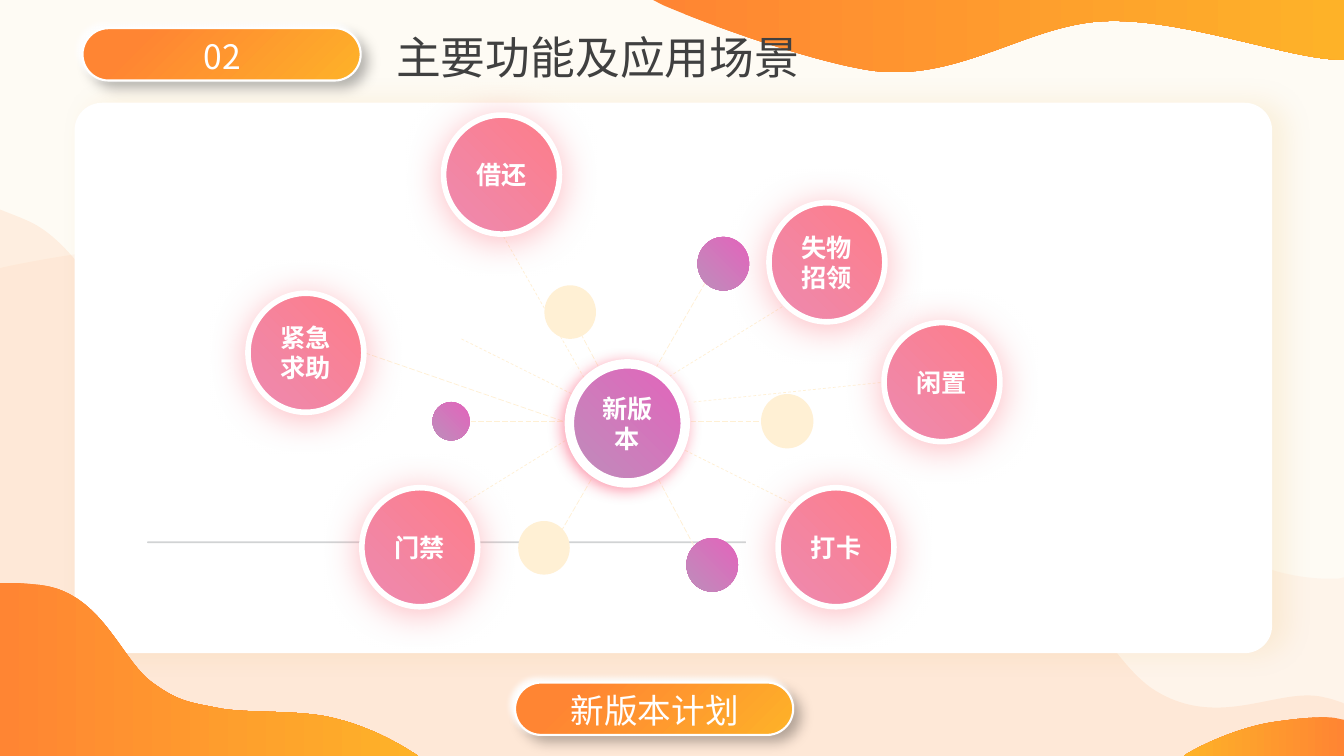
from lxml import etree
from pptx import Presentation
from pptx.dml.color import RGBColor
from pptx.enum.dml import MSO_LINE
from pptx.enum.shapes import MSO_CONNECTOR, MSO_SHAPE
from pptx.enum.text import MSO_ANCHOR, MSO_AUTO_SIZE, PP_ALIGN
from pptx.oxml.ns import qn
from pptx.util import Cm, Pt

WIDTH, HEIGHT = 33.87, 19.05
ORANGE, AMBER, WHITE, CREAM = "FF8533", "FEB228", "FFFFFF", "FFF0D4"
PINKS = ("FE7D89", "ED8AB0")
PURPLES = ("E364BB", "BE8DBB")
CJK = "Noto Sans CJK SC"

BACK_WAVE = [
    (5.03, 6.17), (6.1, 6.2, 7.11, 6.32, 7.92, 6.6),
    (11.25, 7.77, 13.64, 14.45, 16.26, 14.94), (18.85, 15.39, 20.96, 9.5, 23.6, 9.42),
    (26.26, 9.32, 29.92, 13.72, 32.18, 14.4), (32.74, 14.55, 33.25, 14.6, 33.73, 14.58),
    (WIDTH, 14.55), (WIDTH, HEIGHT), (0, HEIGHT), (0, 6.76), (0.1, 6.73),
    (1.68, 6.4, 3.43, 6.15, 5.03, 6.17),
]
FRONT_WAVE = [
    (0, 5.28), (0.33, 5.41), (0.46, 5.46, 0.58, 5.51, 0.69, 5.56),
    (2.46, 6.32, 3.63, 9.91, 5.13, 10.95), (6.63, 12.01, 7.98, 10.95, 9.68, 11.86),
    (11.4, 12.78, 13.16, 16.51, 15.44, 16.46), (17.75, 16.38, 21.21, 11.33, 23.5, 11.48),
    (25.78, 11.63, 27.46, 16.38, 29.11, 17.4), (30.76, 18.42, 32.26, 17.27, 33.4, 17.58),
    (33.53, 17.6, 33.65, 17.65, 33.81, 17.7), (WIDTH, 17.73), (WIDTH, HEIGHT), (0, HEIGHT),
]
TOP_RIBBON = [
    (16.46, 0), (WIDTH, 0), (WIDTH, 1.5), (32.74, 1.57, 29.92, 0.48, 27.94, 0.53),
    (25.96, 0.56, 24.21, 2.08, 21.97, 1.78), (20.73, 1.6, 18.44, 0.86, 16.71, 0.13),
]
RIGHT_CORNER = [
    (33.32, 18.08), (33.48, 18.08, 33.6, 18.08, 33.73, 18.11), (WIDTH, 18.14),
    (WIDTH, HEIGHT), (29.85, HEIGHT), (29.87, 19.02),
    (30.51, 18.64, 31.42, 18.29, 32.13, 18.19), (32.49, 18.14, 32.92, 18.08, 33.32, 18.08),
]
LEFT_CORNER = [
    (0, 14.68), (0.23, 14.68), (0.71, 14.71, 1.12, 14.73, 1.42, 14.83),
    (2.67, 15.24, 3.12, 16.69, 3.84, 17.2), (4.52, 17.7, 4.8, 17.7, 5.59, 17.86),
    (6.35, 17.98, 7.62, 17.88, 8.46, 18.11), (9.22, 18.29, 9.96, 18.67, 10.46, 19),
    (10.54, HEIGHT), (0, HEIGHT),
]
SPOKES = [
    (17.78, 7.11, 14.17, 13.34, MSO_LINE.LONG_DASH),
    (14.35, 7.87, 17.48, 13.74, MSO_LINE.LONG_DASH),
    (11.86, 10.62, 19.18, 10.62, MSO_LINE.LONG_DASH),
    (14.78, 9.63, 12.65, 5.89, MSO_LINE.DASH),
    (11.61, 12.73, 19.81, 7.67, MSO_LINE.DASH),
    (20.04, 12.73, 11.61, 8.53, MSO_LINE.DASH),
    (17.48, 10.13, 22.28, 9.63, MSO_LINE.DASH),
    (9.19, 8.89, 14.35, 10.67, MSO_LINE.LONG_DASH),
]
FEATURES = [
    ("失物招领", 19.38, 5.11), ("门禁", 9.12, 12.29), ("借还", 11.18, 2.9),
    ("打卡", 19.61, 12.29), ("紧急求助", 6.25, 7.39), ("闲置", 22.28, 8.13),
]
DOTS = [
    (17.58, 5.97, 1.3, 1.35, PURPLES), (13.06, 13.13, 1.3, 1.35, CREAM),
    (17.3, 13.56, 1.3, 1.35, PURPLES), (13.72, 7.19, 1.3, 1.35, CREAM),
    (10.9, 10.13, 0.94, 0.97, PURPLES), (19.18, 9.93, 1.32, 1.37, CREAM),
]


def rgb(value):
    return RGBColor.from_string(value)


def add_xml(parent, tag, **attributes):
    return etree.SubElement(parent, qn(tag), {k: str(v) for k, v in attributes.items()})


def paint(shape, fill, angle=0, alpha=None, outline=None, shadow=None):
    shape.shadow.inherit = False
    if isinstance(fill, tuple):
        shape.fill.gradient()
        shape.fill.gradient_angle = angle
        for stop, color in zip(shape.fill.gradient_stops, fill):
            stop.color.rgb = rgb(color)
    else:
        shape.fill.solid()
        shape.fill.fore_color.rgb = rgb(fill)
    if alpha:
        color = shape.element.spPr.find(qn("a:solidFill"))[0]
        add_xml(color, "a:alpha", val=alpha * 1000)
    if outline:
        shape.line.color.rgb = rgb(WHITE)
        shape.line.width = Pt(outline)
    else:
        shape.line.fill.background()
    if shadow:
        color, opacity, blur, distance, direction = shadow
        outer = add_xml(shape.element.spPr.find(qn("a:effectLst")), "a:outerShdw",
                        blurRad=Pt(blur), dist=Pt(distance), dir=direction * 60000,
                        algn="ctr", rotWithShape=0)
        add_xml(add_xml(outer, "a:srgbClr", val=color), "a:alpha", val=opacity * 1000)


def add_block(slide, kind, box, fill, rounding=None, **style):
    block = slide.shapes.add_shape(kind, *map(Cm, box))
    if rounding is not None:
        block.adjustments[0] = rounding
    paint(block, fill, **style)
    return block


def add_wave(slide, outline, fill, **style):
    points = [[(Cm(s[i]), Cm(s[i + 1])) for i in range(0, len(s), 2)] for s in outline]
    builder = slide.shapes.build_freeform(*points[0][0])
    for segment in points[1:]:
        builder.add_line_segments(segment, close=False)
    builder.add_line_segments([], close=True)
    wave = builder.convert_to_shape()
    lines = iter(list(wave.element.iter(qn("a:lnTo"))))
    for segment in points[1:]:
        steps = [next(lines) for _ in segment]
        if len(steps) == 3:
            curve = etree.Element(qn("a:cubicBezTo"))
            steps[0].addprevious(curve)
            for step in steps:
                curve.append(step[0])
                step.getparent().remove(step)
    paint(wave, fill, **style)


def write(frame, text, size, color, font=CJK, align=PP_ALIGN.CENTER, bold=False):
    frame.word_wrap = True
    frame.text = text
    paragraph = frame.paragraphs[0]
    paragraph.alignment = align
    paragraph.font.size = Pt(size)
    paragraph.font.bold = bold
    paragraph.font.name = font
    paragraph.font.color.rgb = rgb(color)


def fit_tight(frame):
    frame.margin_left = frame.margin_top = frame.margin_right = frame.margin_bottom = 0
    frame.vertical_anchor = MSO_ANCHOR.TOP
    frame.auto_size = MSO_AUTO_SIZE.SHAPE_TO_FIT_TEXT


def add_pill(slide, text, left, top):
    box = (left, top, 7.01, 1.32)
    add_block(slide, MSO_SHAPE.ROUNDED_RECTANGLE, box, AMBER, 0.5,
              shadow=("000000", 30, 10, 7, 45))
    face = add_block(slide, MSO_SHAPE.ROUNDED_RECTANGLE, box, (AMBER, ORANGE), 0.5,
                     outline=1.5, shadow=(WHITE, 100, 4, 4, 220))
    face.fill.gradient_stops[1].position = 0.8
    gradient = face.element.spPr.find(qn("a:gradFill"))
    gradient.remove(gradient.find(qn("a:lin")))
    radial = add_xml(gradient, "a:path", path="circle")
    add_xml(radial, "a:fillToRect", l=100000, t=100000)
    label = slide.shapes.add_textbox(Cm(left + 0.46), Cm(top + 0.19), Cm(6.12), Cm(1.02))
    fit_tight(label.text_frame)
    write(label.text_frame, text, 24, WHITE)


def add_title(slide, text):
    title = slide.shapes.title
    title.left, title.top, title.width, title.height = map(Cm, (9.98, 0.74, 19.63, 1.37))
    title.element.getparent().append(title.element)
    fit_tight(title.text_frame)
    write(title.text_frame, text, 32, "404040", align=PP_ALIGN.LEFT)


def add_spoke(slide, x1, y1, x2, y2, dash):
    spoke = slide.shapes.add_connector(MSO_CONNECTOR.STRAIGHT, *map(Cm, (x1, y1, x2, y2)))
    spoke.line.color.rgb = rgb(CREAM)
    spoke.line.width = Pt(0.5)
    spoke.line.dash_style = dash
    add_xml(spoke.element.spPr, "a:effectLst")


def add_bubble(slide, text, left, top, colors, outline, shadow):
    bubble = add_block(slide, MSO_SHAPE.OVAL, (left, top, 2.92, 3), colors,
                       angle=225, outline=outline, shadow=shadow)
    bubble.text_frame.vertical_anchor = MSO_ANCHOR.MIDDLE
    write(bubble.text_frame, text, 18, WHITE, font="Arial", bold=True)


def add_backdrop(slide):
    add_block(slide, MSO_SHAPE.ROUNDED_RECTANGLE, (0, 0, WIDTH, HEIGHT), AMBER, 0, alpha=5)
    add_wave(slide, BACK_WAVE, "FFE7D6", alpha=30)
    add_wave(slide, FRONT_WAVE, ORANGE, alpha=10)
    add_wave(slide, TOP_RIBBON, (ORANGE, AMBER))
    add_wave(slide, RIGHT_CORNER, (ORANGE, AMBER), angle=180)
    add_block(slide, MSO_SHAPE.ROUNDED_RECTANGLE, (1.88, 2.59, 30.18, 13.87), WHITE, 0.05,
              shadow=("DB8E01", 10, 20, 10, 0))
    add_block(slide, MSO_SHAPE.ROUNDED_RECTANGLE, (3.71, 13.64, 15.09, 0.05), "D1D3D4", 0.5)
    add_wave(slide, LEFT_CORNER, (ORANGE, AMBER))


def main():
    deck = Presentation()
    deck.slide_width, deck.slide_height = Cm(WIDTH), Cm(HEIGHT)
    slide = deck.slides.add_slide(deck.slide_layouts[5])
    add_backdrop(slide)
    add_pill(slide, "02", 2.08, 0.71)
    add_title(slide, "主要功能及应用场景")
    for spoke in SPOKES:
        add_spoke(slide, *spoke)
    for feature in FEATURES:
        add_bubble(slide, *feature, PINKS, 4, ("FE7D89", 51, 26, 3, 90))
    add_bubble(slide, "新版本", 14.35, 9.17, PURPLES, 6.75, ("FE6E8B", 70, 11, 3, 135))
    for *box, fill in DOTS:
        add_block(slide, MSO_SHAPE.OVAL, box, fill, angle=225)
    add_pill(slide, "新版本计划", 12.98, 17.2)
    deck.save("out.pptx")


if __name__ == "__main__":
    main()
